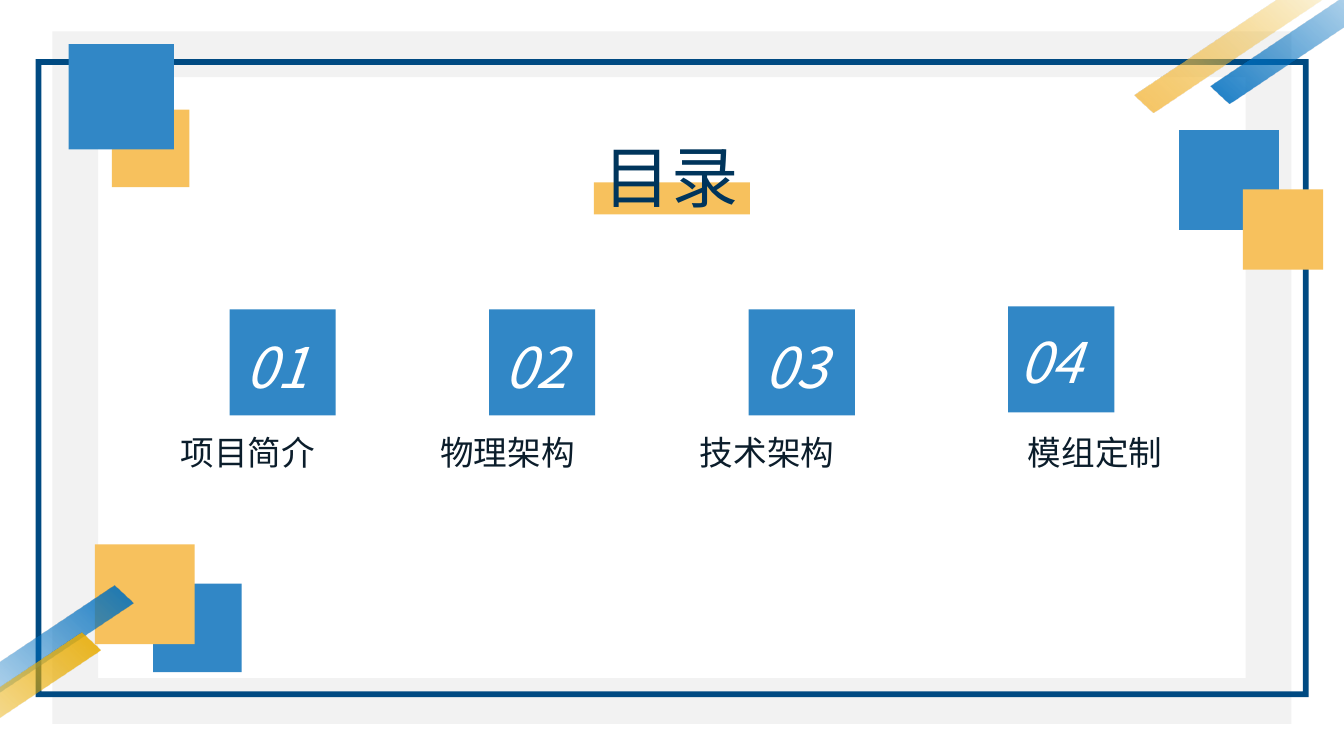
import pptx
import pptx.enum.shapes
import pptx.enum.text
import pptx.oxml.ns
import lxml.etree

Pt = pptx.util.Pt
MSO = pptx.enum.shapes.MSO_SHAPE
FONT = "Noto Sans CJK SC"
BLUE, YELLOW = "3187C6", "F7C15D"


def rgb(color):
    return pptx.dml.color.RGBColor.from_string(color)


def write(sp, text, size=24, color="0B1D2B", italic=False):
    tf = sp.text_frame
    tf.word_wrap = False
    tf.auto_size = pptx.enum.text.MSO_AUTO_SIZE.SHAPE_TO_FIT_TEXT
    tf.vertical_anchor = pptx.enum.text.MSO_ANCHOR.TOP
    p = tf.paragraphs[0]
    p.alignment = pptx.enum.text.PP_ALIGN.LEFT
    r = p.add_run()
    r.text = text
    r.font.name = FONT
    r.font.size = Pt(size)
    r.font.italic = italic
    r.font.color.rgb = rgb(color)
    ea = lxml.etree.SubElement(r.font._element, pptx.oxml.ns.qn("a:ea"))
    ea.set("typeface", FONT)


prs = pptx.Presentation()
prs.slide_width, prs.slide_height = Pt(960), Pt(540)
s = prs.slides.add_slide(prs.slide_layouts[5])

cards = [
    ("01", "项目简介", 164, 221, 122, 168, 234),
    ("02", "物理架构", 349.4, 221, 307.4, 353.4, 234),
    ("03", "技术架构", 534.8, 221, 492.8, 538.8, 234),
    ("04", "模组定制", 720.2, 218.8, 727.2, 721.4, 230.4),
]

blocks = [
    (MSO.FRAME, 37.4, 22.5, 885, 494.6, "F2F2F2", 0.066),
    (MSO.FRAME, 25.5, 42.3, 909.3, 455.7, "004A82", 0.009),
    (MSO.RECTANGLE, 842.2, 93, 71.3, 71.3, BLUE, None),
    (MSO.RECTANGLE, 79.9, 78.4, 55.4, 55.4, YELLOW, None),
    (MSO.RECTANGLE, 109.4, 416.8, 63.3, 63.3, BLUE, None),
    (MSO.RECTANGLE, 49, 31.6, 75.2, 75.2, BLUE, None),
    (MSO.RECTANGLE, 67.8, 388.8, 71.3, 71.3, YELLOW, None),
    (MSO.RECTANGLE, 887.8, 135.2, 57.4, 57.4, YELLOW, None),
    (MSO.RECTANGLE, 424.2, 130.3, 111.5, 22.8, YELLOW, None),
]
blocks += [(MSO.RECTANGLE, x, y, 75.8, 75.8, BLUE, None)
           for _, _, x, y, _, _, _ in cards]
for kind, x, y, w, h, color, adj in blocks:
    sp = s.shapes.add_shape(kind, Pt(x), Pt(y), Pt(w), Pt(h))
    sp.shadow.inherit = False
    sp.fill.solid()
    sp.fill.fore_color.rgb = rgb(color)
    sp.line.fill.background()
    if adj:
        sp.adjustments[0] = adj

stripes = [
    (-131.8, 471.6, 312.9, "0070C0", "0070C0"),
    (-155.5, 505.4, 312.9, "E9AC01", "E9AC01"),
    (846.7, -38.2, 132.9, "0070C0", "0070C0"),
    (792.7, -31.7, 132.9, YELLOW, "E9AC01"),
]
for x, y, angle, start, end in stripes:
    sp = s.shapes.add_shape(MSO.DIAGONAL_STRIPE, Pt(x), Pt(y), Pt(244.8), Pt(58.3))
    sp.shadow.inherit = False
    sp.adjustments[0] = 0.678
    sp.rotation = angle
    sp._element.spPr.find(pptx.oxml.ns.qn("a:xfrm")).set("flipH", "1")
    sp.line.fill.background()
    sp.fill.gradient()
    sp.fill.gradient_angle = 0
    for stop, position, color in zip(sp.fill.gradient_stops, (0, 0.68), (start, end)):
        stop.position = position
        stop.color.rgb = rgb(color)
    faded = sp._element.spPr.findall(".//" + pptx.oxml.ns.qn("a:srgbClr"))[-1]
    lxml.etree.SubElement(faded, pptx.oxml.ns.qn("a:alpha")).set("val", "0")

title = s.shapes.title
title.left, title.top, title.width, title.height = Pt(424.2), Pt(92.9), Pt(111.5), Pt(65.4)
write(title, "目录", size=48, color="00355C")
s.shapes._spTree.append(title._element)

for number, label, _, _, label_x, number_x, number_y in cards:
    sp = s.shapes.add_textbox(Pt(label_x), Pt(305.3), Pt(110.4), Pt(36.3))
    write(sp, label)
    sp = s.shapes.add_textbox(Pt(number_x), Pt(number_y), Pt(61.9), Pt(55.7))
    write(sp, number, size=40, color="FFFFFF", italic=True)

prs.save("out.pptx")
